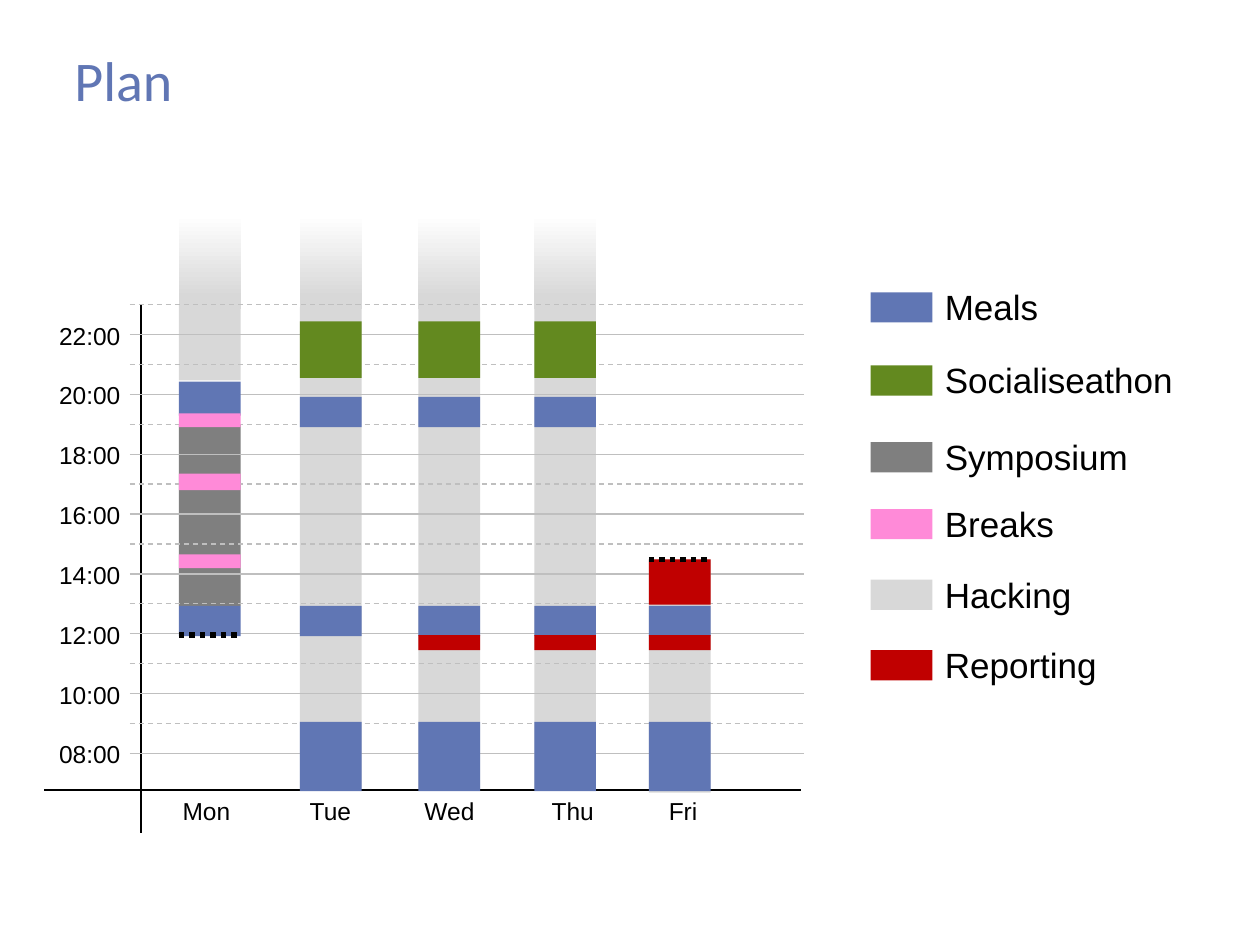
"""Build the week plan slide: a day-by-hour schedule with its legend."""
from dataclasses import dataclass
from typing import NamedTuple

import lxml.etree
import pptx
import pptx.dml.color
import pptx.enum.dml
import pptx.enum.shapes
import pptx.oxml.ns
import pptx.presentation
import pptx.slide
import pptx.util

Inches = pptx.util.Inches
Pt = pptx.util.Pt
Dash = pptx.enum.dml.MSO_LINE


@dataclass(frozen=True)
class Theme:
    meals: str = "6076B4"
    socialiseathon: str = "63891F"
    symposium: str = "7F7F7F"
    breaks: str = "FF8AD8"
    hacking: str = "D8D8D8"
    reporting: str = "C00000"
    ink: str = "000000"
    grid: str = "BFBFBF"
    paper: str = "FFFFFF"
    body_font: str = "Arial"
    title_font: str = "Calibri"
    title_size: int = 32
    legend_size: int = 20
    axis_size: int = 14
    thin: float = 0.75
    thick: float = 3


class Day(NamedTuple):
    name: str
    left: float
    label_left: float
    label_width: float


class Block(NamedTuple):
    days: str
    colour: str
    top: float
    height: float


class LegendEntry(NamedTuple):
    name: str
    colour: str
    top: float
    label_width: float


THEME = Theme()
BAR_WIDTH = 0.49
HOUR_HEIGHT = 0.2375
FIRST_HOUR, LAST_HOUR, FIRST_HOUR_TOP = 8, 23, 5.98
GRID_LEFT, GRID_RIGHT = 1.03, 6.38
NOON_TOP, CLOSE_TOP = 5.04, 4.44

DAYS = {day.name: day for day in (
    Day("Mon", 1.42, 1.35, 0.69),
    Day("Tue", 2.38, 2.36, 0.54),
    Day("Wed", 3.32, 3.27, 0.61),
    Day("Thu", 4.24, 4.28, 0.54),
    Day("Fri", 5.15, 5.21, 0.43),
)}

BACKGROUND_BLOCKS = (
    Block("Mon", THEME.hacking, 2.42, 0.6),
    Block("Mon", THEME.symposium, 3.37, 1.44),
    Block("Tue Wed Thu", THEME.hacking, 2.44, 3.82),
    Block("Fri", THEME.hacking, CLOSE_TOP, 1.85),
)

EVENT_BLOCKS = (
    Block("Tue Wed Thu Fri", THEME.meals, 5.73, 0.55),
    Block("Mon Tue Wed Thu Fri", THEME.meals, 4.81, 0.24),
    Block("Mon", THEME.meals, 3.03, 0.27),
    Block("Tue Wed Thu", THEME.meals, 3.15, 0.24),
    Block("Tue Wed Thu", THEME.socialiseathon, 2.55, 0.45),
    Block("Mon", THEME.breaks, 4.4, 0.11),
    Block("Mon", THEME.breaks, 3.76, 0.13),
    Block("Mon", THEME.breaks, 3.28, 0.11),
    Block("Wed Thu Fri", THEME.reporting, NOON_TOP, 0.12),
    Block("Fri", THEME.reporting, CLOSE_TOP, 0.36),
)

LEGEND = (
    LegendEntry("Meals", THEME.meals, 2.32, 0.95),
    LegendEntry("Socialiseathon", THEME.socialiseathon, 2.9, 2.03),
    LegendEntry("Symposium", THEME.symposium, 3.51, 1.67),
    LegendEntry("Breaks", THEME.breaks, 4.04, 1.08),
    LegendEntry("Hacking", THEME.hacking, 4.6, 1.22),
    LegendEntry("Reporting", THEME.reporting, 5.16, 1.42),
)


def rgb(colour: str) -> pptx.dml.color.RGBColor:
    """Turn a hex string into a colour."""
    return pptx.dml.color.RGBColor.from_string(colour)


def hour_top(hour: int) -> float:
    """Give the height on the slide of an hour of the day."""
    return FIRST_HOUR_TOP - (hour - FIRST_HOUR) * HOUR_HEIGHT


def add_bar(slide: pptx.slide.Slide, left: float, top: float, height: float,
            colour: str, fade: bool = False) -> None:
    """Draw one bar, optionally fading to the paper at its top."""
    bar = slide.shapes.add_shape(
        pptx.enum.shapes.MSO_SHAPE.RECTANGLE,
        Inches(left), Inches(top), Inches(BAR_WIDTH), Inches(height))
    bar.shadow.inherit = False
    bar.line.fill.background()
    if not fade:
        bar.fill.solid()
        bar.fill.fore_color.rgb = rgb(colour)
        return
    bar.fill.gradient()
    bar.fill.gradient_angle = 270
    ramp = ((0.17, THEME.paper), (0.9, colour))
    for stop, (position, stop_colour) in zip(bar.fill.gradient_stops, ramp):
        stop.position = position
        stop.color.rgb = rgb(stop_colour)


def add_blocks(slide: pptx.slide.Slide, blocks: tuple[Block, ...]) -> None:
    """Draw each block in the column of each of its days."""
    for block in blocks:
        for name in block.days.split():
            add_bar(slide, DAYS[name].left, block.top, block.height, block.colour)


def add_line(slide: pptx.slide.Slide, start: tuple[float, float],
             end: tuple[float, float], colour: str, width: float = THEME.thin,
             dash: Dash = Dash.SOLID) -> None:
    """Draw a straight line without a shadow."""
    line = slide.shapes.add_connector(
        pptx.enum.shapes.MSO_CONNECTOR.STRAIGHT, *map(Inches, start + end))
    line.line.color.rgb = rgb(colour)
    for name, value in {"width": Pt(width), "dash_style": dash}.items():
        setattr(line.line, name, value)
    properties = line._element.spPr
    lxml.etree.SubElement(properties, pptx.oxml.ns.qn("a:effectLst"))


def add_label(slide: pptx.slide.Slide, text: str, left: float, top: float,
              width: float, height: float, size: int, colour: str = THEME.ink,
              font: str = THEME.body_font, inset: tuple[float, float] = (0.1, 0.05)) -> None:
    """Write one line of text."""
    frame = slide.shapes.add_textbox(
        *map(Inches, (left, top, width, height))).text_frame
    side, end = map(Inches, inset)
    frame_format = {"word_wrap": False, "margin_left": side, "margin_right": side,
                    "margin_top": end, "margin_bottom": end}
    for name, value in frame_format.items():
        setattr(frame, name, value)
    run = frame.paragraphs[0].add_run()
    run.text = text
    for name, value in {"name": font, "size": Pt(size)}.items():
        setattr(run.font, name, value)
    run.font.color.rgb = rgb(colour)


def add_axes(slide: pptx.slide.Slide) -> None:
    """Draw the axes, the hour grid and the hour and day labels."""
    for day in DAYS.values():
        add_label(slide, day.name, day.label_left, 6.27, day.label_width, 0.34,
                  THEME.axis_size)
    add_line(slide, (1.12, 2.42), (1.12, 6.61), THEME.ink)
    add_line(slide, (0.35, 6.27), (6.36, 6.27), THEME.ink)
    for hour in range(FIRST_HOUR, LAST_HOUR + 1):
        top = hour_top(hour)
        dash = Dash.DASH if hour % 2 else Dash.SOLID
        add_line(slide, (GRID_LEFT, top), (GRID_RIGHT, top), THEME.grid, dash=dash)
        if hour % 2 == 0:
            add_label(slide, f"{hour:02}:00", 0.37, top - 0.16, 0.69, 0.34,
                      THEME.axis_size)


def add_legend(slide: pptx.slide.Slide) -> None:
    """Draw the colour key."""
    for entry in LEGEND:
        add_bar(slide, 6.91, entry.top, 0.24, entry.colour)
        add_label(slide, entry.name, 7.4, entry.top - 0.1, entry.label_width, 0.44,
                  THEME.legend_size)


def main() -> None:
    """Build and save the slide."""
    deck = pptx.Presentation()
    deck.slide_width, deck.slide_height = Inches(10), Inches(7.5)
    slide = deck.slides.add_slide(deck.slide_layouts[6])
    add_label(slide, "Plan", 0.59, 0.36, 8.92, 0.71, THEME.title_size,
              THEME.meals, THEME.title_font, (0, 0))
    add_blocks(slide, BACKGROUND_BLOCKS)
    for name in ("Mon", "Tue", "Wed", "Thu"):
        add_bar(slide, DAYS[name].left, 1.55, 0.9, THEME.hacking, fade=True)
    add_axes(slide)
    add_blocks(slide, EVENT_BLOCKS)
    for name, top in (("Mon", NOON_TOP), ("Fri", CLOSE_TOP)):
        left = DAYS[name].left
        add_line(slide, (left, top), (left + BAR_WIDTH, top), THEME.ink,
                 THEME.thick, Dash.ROUND_DOT)
    add_legend(slide)
    deck.save("out.pptx")


if __name__ == "__main__":
    main()
